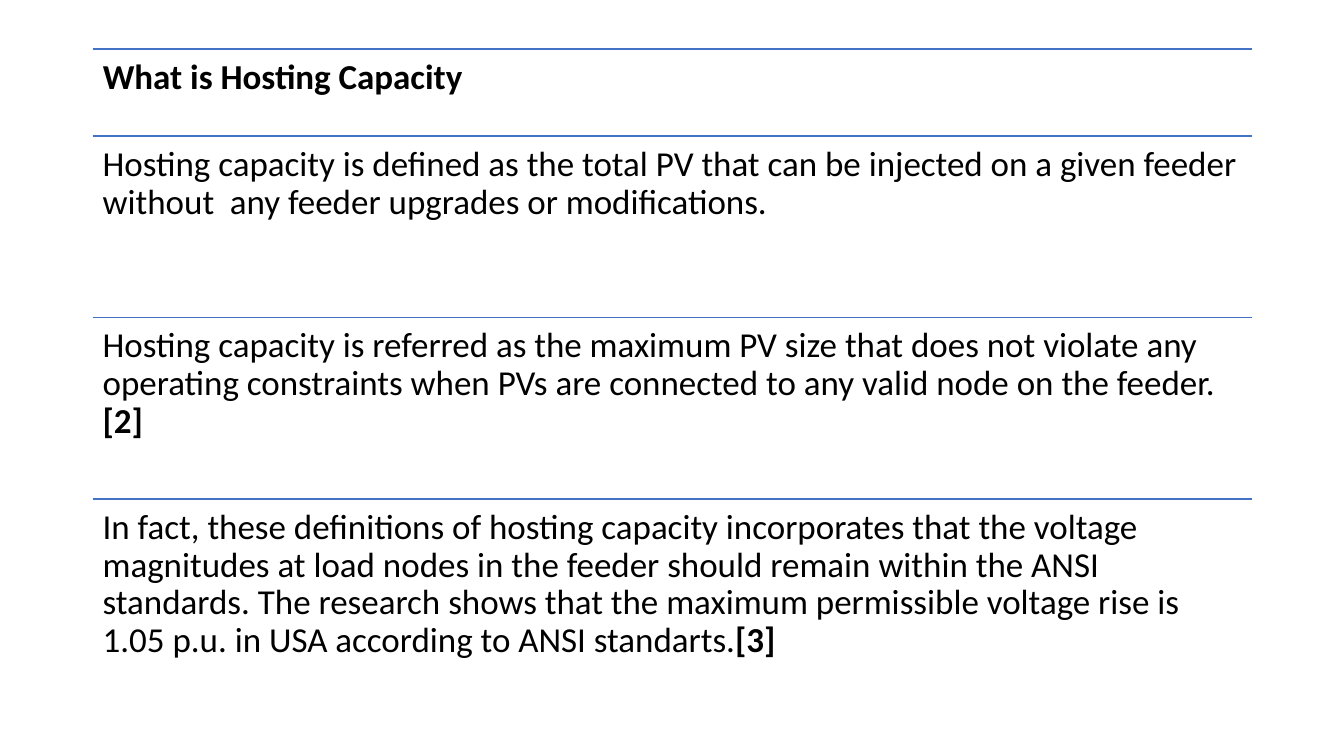
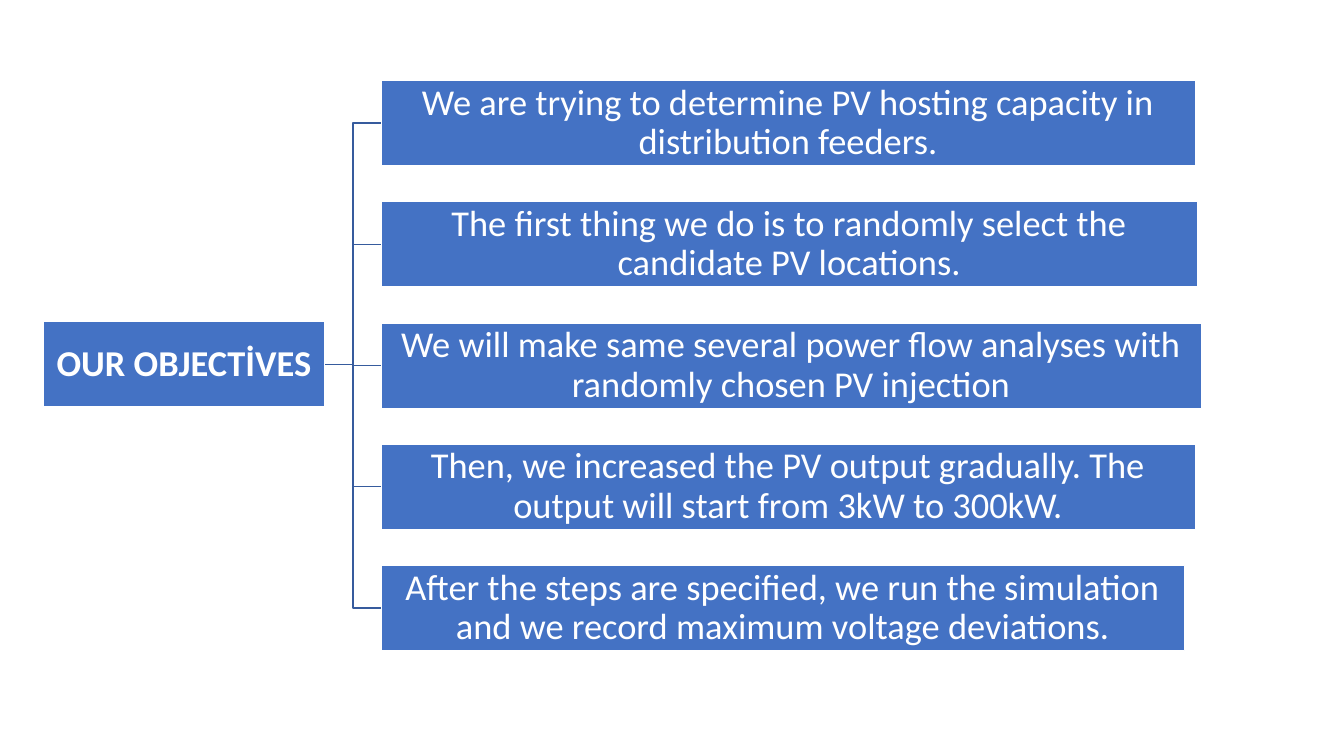
import dataclasses

import pptx
import pptx.dml.color
import pptx.enum.shapes
import pptx.enum.text
import pptx.oxml.ns
import pptx.util
from lxml import etree


@dataclasses.dataclass(frozen=True)
class Theme:
    blue: pptx.dml.color.RGBColor = pptx.dml.color.RGBColor(0x44, 0x72, 0xC4)
    link: pptx.dml.color.RGBColor = pptx.dml.color.RGBColor(0x36, 0x5B, 0x9D)
    white: pptx.dml.color.RGBColor = pptx.dml.color.RGBColor(255, 255, 255)
    black: pptx.dml.color.RGBColor = pptx.dml.color.RGBColor(0, 0, 0)
    font: str = "Calibri"
    text_size: int = 25
    box_size: int = 26
    line_width: int = 1


theme = Theme()
ALIGN = pptx.enum.text.PP_ALIGN
ANCHOR = pptx.enum.text.MSO_ANCHOR
CONNECTOR = pptx.enum.shapes.MSO_CONNECTOR

prs = pptx.Presentation()
prs.slide_width = pptx.util.Inches(13.33)
prs.slide_height = pptx.util.Inches(7.5)
col = prs.slide_width / 100
row = prs.slide_height / 100
title_only = prs.slide_layouts[5]


def write(sp, runs, size, color, inset, anchor, align):
    tf = sp.text_frame
    tf.word_wrap = True
    tf.auto_size = pptx.enum.text.MSO_AUTO_SIZE.NONE
    tf.vertical_anchor = anchor
    tf.margin_left = tf.margin_right = pptx.util.Inches(inset)
    tf.margin_top = tf.margin_bottom = pptx.util.Inches(inset)
    p = tf.paragraphs[0]
    p.alignment = align
    p.line_spacing = 0.9
    p.font.name = theme.font
    p.font.size = pptx.util.Pt(size)
    p.font.color.rgb = color
    for text, bold in runs:
        r = p.add_run()
        r.text = text
        r.font.bold = bold


def connect(s, kind, color, x1=0, y1=0, x2=0, y2=0):
    line = s.shapes.add_connector(kind, int(x1), int(y1), int(x2), int(y2))
    line.line.color.rgb = color
    line.line.width = pptx.util.Pt(theme.line_width)
    etree.SubElement(line._element.spPr, pptx.oxml.ns.qn("a:effectLst"))
    return line


definitions = [
    [("What is Hosting Capacity", True)],
    [("Hosting capacity is defined as the total PV that can be injected on a given feeder "
      "without  any feeder upgrades or modifications.", False)],
    [("Hosting capacity is referred as the maximum PV size that does not violate any "
      "operating constraints when PVs are connected to any valid node on the feeder. ", False),
     ("[2]", True)],
    [("In fact, these definitions of hosting capacity incorporates that the voltage magnitudes "
      "at load nodes in the feeder should remain within the ANSI standards. The research shows "
      "that the maximum permissible voltage rise is 1.05 p.u. in USA according to ANSI "
      "standarts.", False),
     ("[3]", True)],
]
left, width = 6.9 * col, 86.25 * col
head_height, body_height = 11.5 * row, 24 * row

s = prs.slides.add_slide(title_only)
top = 6.5 * row
for i, runs in enumerate(definitions):
    height = body_height if i else head_height
    connect(s, CONNECTOR.STRAIGHT, theme.blue, left, top, left + width, top)
    sp = s.shapes.add_textbox(0, 0, 0, 0) if i else s.shapes.title
    sp.left, sp.top, sp.width, sp.height = int(left), int(top), int(width), int(height)
    write(sp, runs, theme.text_size, theme.black, 0.1, ANCHOR.TOP, ALIGN.LEFT)
    top += height

objectives = [
    ("We are trying to determine PV hosting capacity in distribution feeders.", 60.6),
    ("The first thing we do is to randomly select the candidate PV locations.", 60.75),
    ("We will make same several power flow analyses with randomly chosen PV injection", 61.05),
    ("Then, we increased the PV output gradually. The output will start from 3kW to 300kW.", 60.6),
    ("After the steps are specified, we run the simulation and we record maximum "
     "voltage deviations.", 59.8),
]
first_row, row_step, box_rows = 10.65, 16.03, 11.3

s = prs.slides.add_slide(title_only)
boxes = [(s.shapes.title, "OUR OBJECTİVES", True, 3.2, 42.55, 21)]
for i, (text, cols) in enumerate(objectives):
    sp = s.shapes.add_shape(pptx.enum.shapes.MSO_SHAPE.RECTANGLE, 0, 0, 0, 0)
    boxes.append((sp, text, False, 28.35, first_row + i * row_step, cols))

for sp, text, bold, x, y, cols in boxes:
    sp.left, sp.top = int(x * col), int(y * row)
    sp.width, sp.height = int(cols * col), int(box_rows * row)
    sp.fill.solid()
    sp.fill.fore_color.rgb = theme.blue
    sp.line.color.rgb = theme.white
    sp.line.width = pptx.util.Pt(theme.line_width)
    sp.shadow.inherit = False
    write(sp, [(text, bold)], theme.box_size, theme.white, 0.02, ANCHOR.MIDDLE, ALIGN.CENTER)

for sp, *_ in boxes[1:]:
    elbow = connect(s, CONNECTOR.ELBOW, theme.link)
    elbow.begin_connect(s.shapes.title, 3)
    elbow.end_connect(sp, 1)

prs.save("out.pptx")
